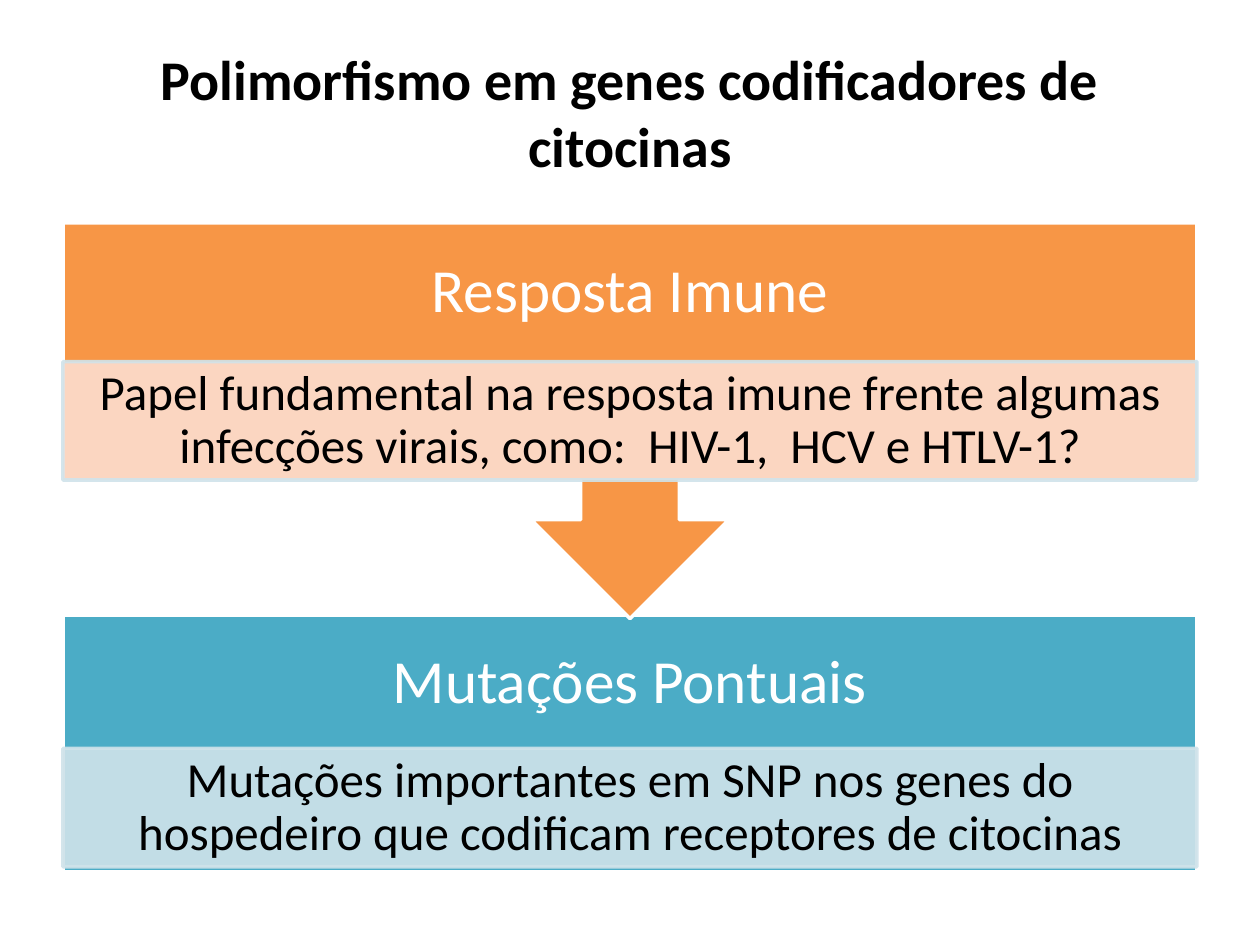
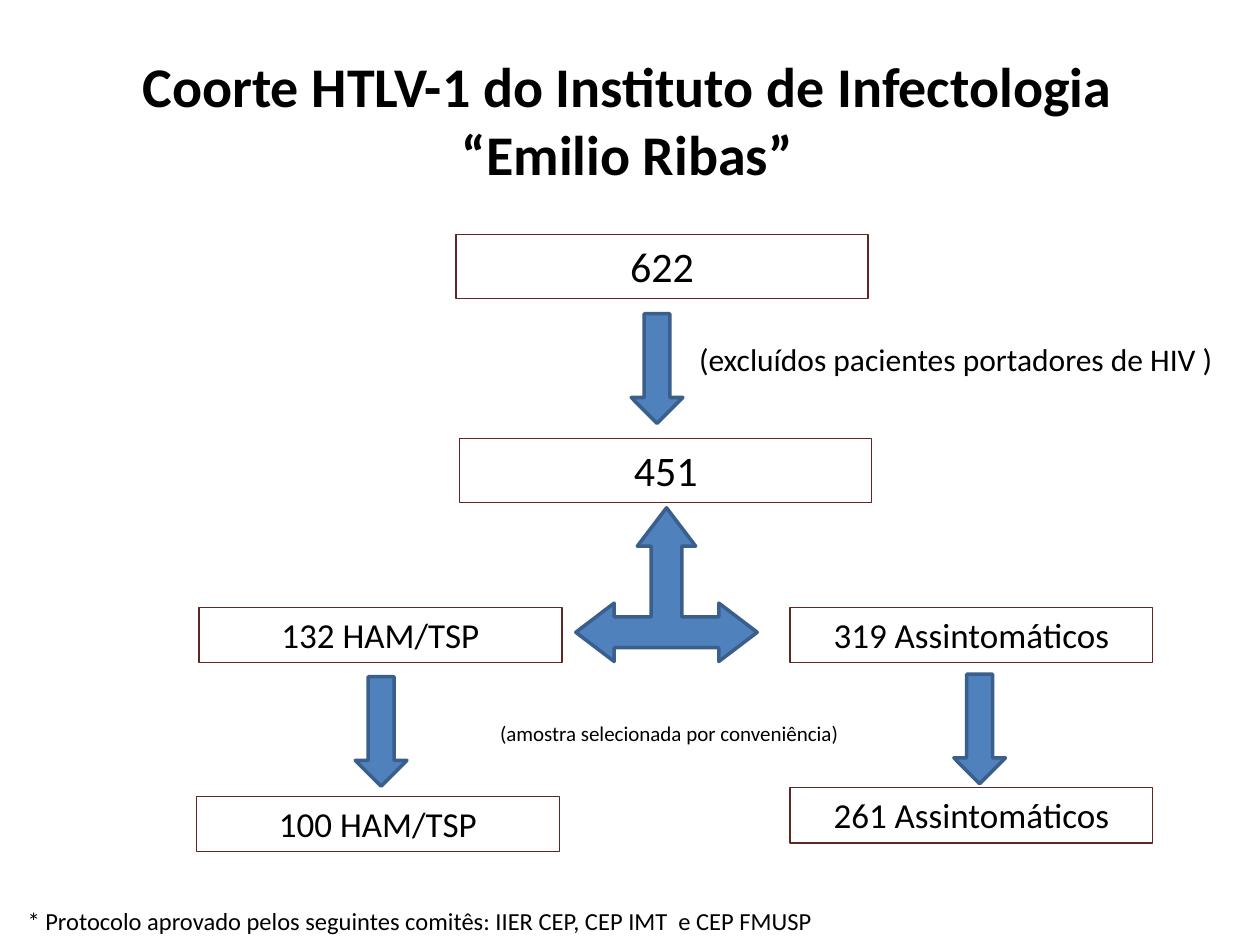
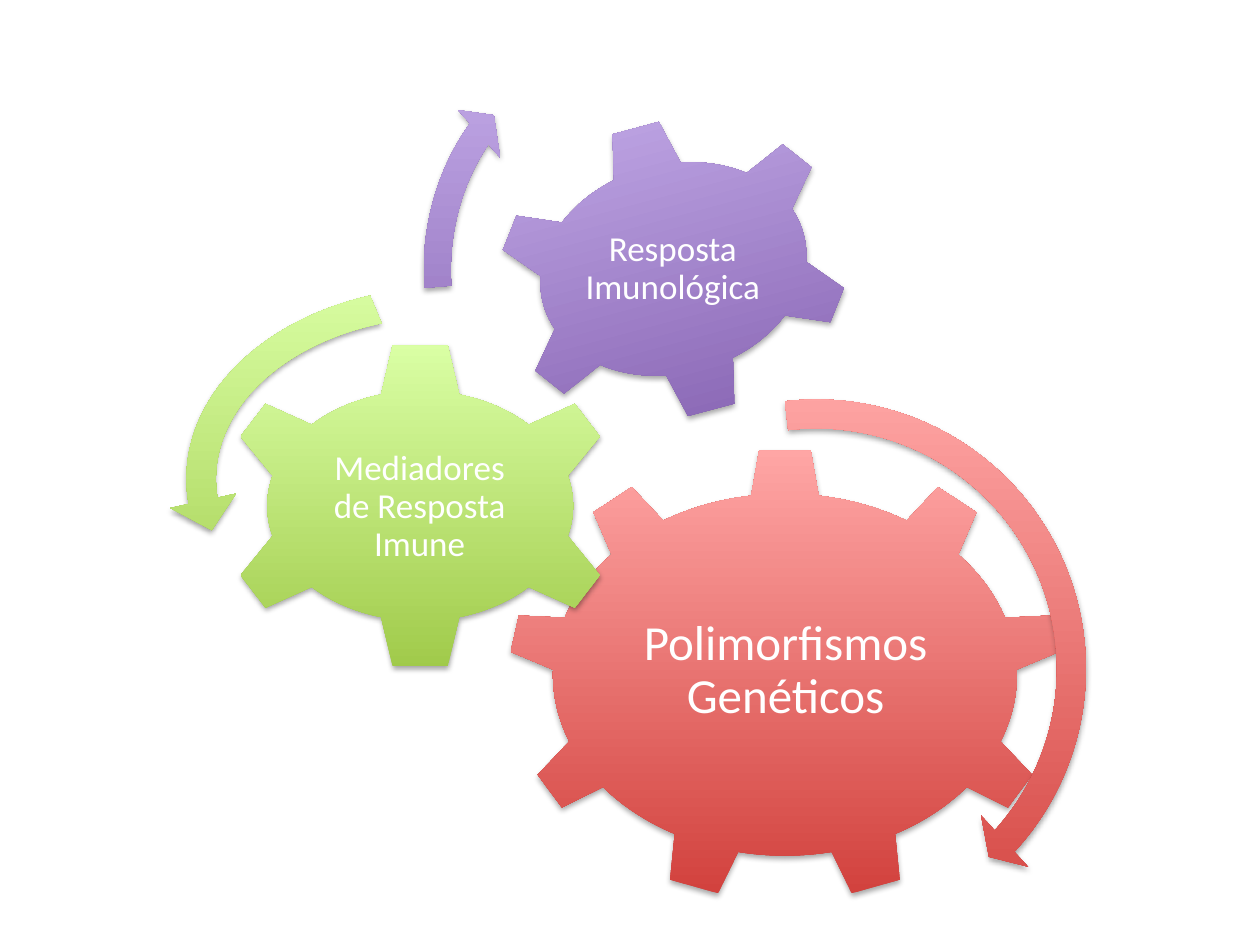
from lxml import etree
from pptx import Presentation
from pptx.dml.color import RGBColor
from pptx.enum.shapes import MSO_SHAPE
from pptx.enum.text import MSO_ANCHOR, MSO_AUTO_SIZE, PP_ALIGN
from pptx.oxml.ns import qn
from pptx.util import Inches, Pt

RECTANGLE = MSO_SHAPE.RECTANGLE
CALLOUT = MSO_SHAPE.UP_ARROW_CALLOUT
DOWN_ARROW = MSO_SHAPE.DOWN_ARROW
THREE_WAY_ARROW = MSO_SHAPE.LEFT_RIGHT_UP_ARROW
GEAR_6, GEAR_9 = MSO_SHAPE.GEAR_6, MSO_SHAPE.GEAR_9
CLOCKWISE = MSO_SHAPE.CIRCULAR_ARROW
COUNTERCLOCKWISE = MSO_SHAPE.LEFT_CIRCULAR_ARROW
TOP, MIDDLE = MSO_ANCHOR.TOP, MSO_ANCHOR.MIDDLE
LEFT, CENTER = PP_ALIGN.LEFT, PP_ALIGN.CENTER
FIT_TEXT = MSO_AUTO_SIZE.SHAPE_TO_FIT_TEXT

COLUMNS, ROWS = 100, 75
TITLE_ONLY, BLANK = 5, 6
FONT = "Calibri"
COLORS = {
    "black": "000000", "white": "FFFFFF",
    "orange": "F79646", "orange_tint": "FCDDCF",
    "teal": "4BACC6", "teal_tint": "D0E3EA",
    "blue": "4F81BD", "blue_edge": "3A5F8C", "maroon": "632523",
    "red_dark": "D1403C", "red_light": "FFA6A5",
    "green_dark": "A0CA4A", "green_light": "DAFFA5",
    "purple_dark": "7F5BAB", "purple_light": "C8B0ED",
}


def rgb(name):
    """Return the palette colour with this name."""
    return RGBColor.from_string(COLORS[name])


class Deck:
    """Holds the presentation style and the current slide."""

    def __init__(self):
        """Start an empty presentation and its grid."""
        self.presentation = Presentation()
        self.presentation.slide_width = Inches(10)
        self.presentation.slide_height = Inches(7.5)
        self.column = self.presentation.slide_width / COLUMNS
        self.row = self.presentation.slide_height / ROWS
        self.slide = None

    def place(self, left, top, width, height):
        """Turn grid columns and rows into slide lengths."""
        return (round(left * self.column), round(top * self.row),
                round(width * self.column), round(height * self.row))

    def new_slide(self, layout):
        """Add a slide and make it current."""
        layouts = self.presentation.slide_layouts
        self.slide = self.presentation.slides.add_slide(layouts[layout])

    def title(self, area, text):
        """Fill the title placeholder."""
        heading = self.slide.shapes.title
        heading.left, heading.top, heading.width, heading.height = self.place(*area)
        self.set_text(heading, text, 32, anchor=MIDDLE, bold=True)

    def set_text(self, holder, text, size, color="black", align=CENTER, anchor=TOP,
                 insets=None, spacing=None, bold=False, wrap=True, fit=False):
        """Set one formatted paragraph in a shape."""
        frame = holder.text_frame
        frame.word_wrap = wrap
        frame.vertical_anchor = anchor
        if fit:
            frame.auto_size = FIT_TEXT
        if insets:
            across, down = insets
            frame.margin_left = frame.margin_right = round(across * self.column)
            frame.margin_top = frame.margin_bottom = round(down * self.row)
        paragraph = frame.paragraphs[0]
        paragraph.alignment = align
        if spacing:
            paragraph.line_spacing = spacing
        run = paragraph.add_run()
        run.text = text
        run.font.name, run.font.size, run.font.bold = FONT, Pt(size), bold
        run.font.color.rgb = rgb(color)

    def label(self, area, text, size, **style):
        """Add a text box."""
        box = self.slide.shapes.add_textbox(*self.place(*area))
        self.set_text(box, text, size, **style)

    def shape(self, kind, area, fill=None, edge=None, weight=2, turn=0, adjust=()):
        """Add a preset shape with a flat fill and line."""
        figure = self.slide.shapes.add_shape(kind, *self.place(*area))
        figure.shadow.inherit = False
        figure.rotation = turn
        for index, value in enumerate(adjust):
            figure.adjustments[index] = value
        if fill:
            figure.fill.solid()
            figure.fill.fore_color.rgb = rgb(fill)
        else:
            figure.fill.background()
        if edge:
            figure.line.color.rgb = rgb(edge)
            figure.line.width = Pt(weight)
        else:
            figure.line.fill.background()
        return figure

    def panel(self, kind, area, detail_top, color, heading, detail, turn=0):
        """Add a coloured panel with a heading and a tinted detail strip."""
        left, top, width, _ = area
        self.shape(kind, area, color, "white", turn=turn)
        self.label((left, top, width, 11), heading, 35, color="white",
                   anchor=MIDDLE, insets=(2.7, 2.7), spacing=0.9)
        strip = self.shape(RECTANGLE, (left, detail_top, width, 9.4),
                           color + "_tint", "teal_tint")
        for paint in strip._element.spPr.iter(qn("a:srgbClr")):
            etree.SubElement(paint, qn("a:alpha"), val="90000")
        self.set_text(strip, detail, 28, anchor=MIDDLE, insets=(2.2, 0.4), spacing=0.9)

    def count_box(self, area, text, size):
        """Add an outlined box with a patient count."""
        box = self.shape(RECTANGLE, area, edge="maroon", weight=0.75)
        self.set_text(box, text, size, fit=True)

    def flow_arrow(self, left, top):
        """Add a downward block arrow."""
        self.shape(DOWN_ARROW, (left, top, 4.1, 8.7), "blue", "blue_edge")

    def glossy(self, kind, area, hue, turn=0, adjust=()):
        """Add a shape with a vertical gradient and a soft shadow."""
        figure = self.shape(kind, area, turn=turn, adjust=adjust)
        figure.fill.gradient()
        figure.fill.gradient_angle = 90
        for stop, tone in zip(figure.fill.gradient_stops, ("dark", "light")):
            stop.color.rgb = rgb(f"{hue}_{tone}")
        effects = figure._element.spPr.find(qn("a:effectLst"))
        shadow = etree.SubElement(effects, qn("a:outerShdw"), blurRad=str(Pt(3.1)),
                                  dist=str(Pt(1.8)), dir="5400000", rotWithShape="0")
        black = etree.SubElement(shadow, qn("a:srgbClr"), val=COLORS["black"])
        etree.SubElement(black, qn("a:alpha"), val="35000")

    def gear(self, kind, area, hue, text_area, text, size, turn=0):
        """Add a gear with an upright caption."""
        self.glossy(kind, area, hue, turn)
        self.label(text_area, text, size, color="white", anchor=MIDDLE,
                   insets=(0.3, 0.3), spacing=0.9)


def polymorphism_slide(deck):
    """Build the slide on polymorphism in cytokine genes."""
    deck.new_slide(TITLE_ONLY)
    deck.title((5, 0.1, 90, 17.5), "Polimorfismo em genes codificadores de citocinas")
    deck.panel(RECTANGLE, (5, 48.8, 90, 20.4), 59.4, "teal", "Mutações Pontuais",
               "Mutações importantes em SNP nos genes do hospedeiro "
               "que codificam receptores de citocinas")
    deck.panel(CALLOUT, (5, 17.7, 90, 31.4), 28.7, "orange", "Resposta Imune",
               "Papel fundamental na resposta imune frente algumas "
               "infecções virais, como:  HIV-1,  HCV e HTLV-1?", turn=180)


def cohort_slide(deck):
    """Build the cohort flow chart."""
    deck.new_slide(TITLE_ONLY)
    deck.title((4.8, 3.6, 90, 11.7),
               "Coorte HTLV-1 do Instituto de Infectologia “Emilio Ribas”")
    for left, top, patients in ((36.2, 18.6, "622"), (36.5, 34.8, "451")):
        deck.count_box((left, top, 32.7, 5.1), patients, 24)
    for left, top, group in ((15.8, 48.2, "132 HAM/TSP"),
                             (62.7, 48.2, "319 Assintomáticos"),
                             (15.6, 63.2, "100 HAM/TSP"),
                             (62.7, 62.5, "261 Assintomáticos")):
        deck.count_box((left, top, 28.8, 4.4), group, 20)
    for left, top in ((50.1, 24.9), (28.2, 53.7), (75.7, 53.5)):
        deck.flow_arrow(left, top)
    deck.shape(THREE_WAY_ARROW, (45.7, 40.3, 14.4, 12.2), "blue", "blue_edge",
               adjust=(0.2, 0.19, 0.25))
    deck.label((54.5, 26.5, 44.6, 4), "(excluídos pacientes portadores de HIV )", 18,
               align=LEFT, wrap=False, fit=True)
    deck.label((38.7, 56.7, 29.2, 3), "(amostra selecionada por conveniência)", 12,
               align=LEFT, wrap=False, fit=True)
    deck.label((1.2, 71.4, 86.2, 3.4),
               "* Protocolo aprovado pelos seguintes comitês: "
               "IIER CEP, CEP IMT  e CEP FMUSP", 14, align=LEFT, fit=True)


def gears_slide(deck):
    """Build the gears that link genetics to the immune response."""
    deck.new_slide(BLANK)
    deck.gear(GEAR_9, (40.3, 35.6, 44, 35.9), "red", (48.6, 44, 27.5, 18.5),
              "Polimorfismos Genéticos", 28)
    deck.gear(GEAR_6, (17.3, 27.1, 32.1, 26.1), "green", (24.7, 33.8, 17.2, 12.9),
              "Mediadores de Resposta Imune", 20)
    deck.gear(GEAR_6, (39.2, 9.5, 28.5, 23.7), "purple", (45.7, 14.4, 15.4, 13.9),
              "Resposta Imunológica", 20, turn=345)
    deck.glossy(CLOCKWISE, (41.8, 30.1, 46, 46), "red",
                adjust=(0.05, 2.99, 25.47, 157.97, 0.06))
    deck.glossy(COUNTERCLOCKWISE, (13.3, 21.3, 44.3, 33.4), "green",
                adjust=(0.07, 4.3, 104.89, 148.38, 0.08))
    deck.glossy(CLOCKWISE, (32.2, 1.5, 35.8, 39.9), "purple",
                adjust=(0.06, 3.94, 133.14, 105.08, 0.07))


def main():
    """Build and save the presentation."""
    deck = Deck()
    polymorphism_slide(deck)
    cohort_slide(deck)
    gears_slide(deck)
    deck.presentation.save("out.pptx")


if __name__ == "__main__":
    main()
